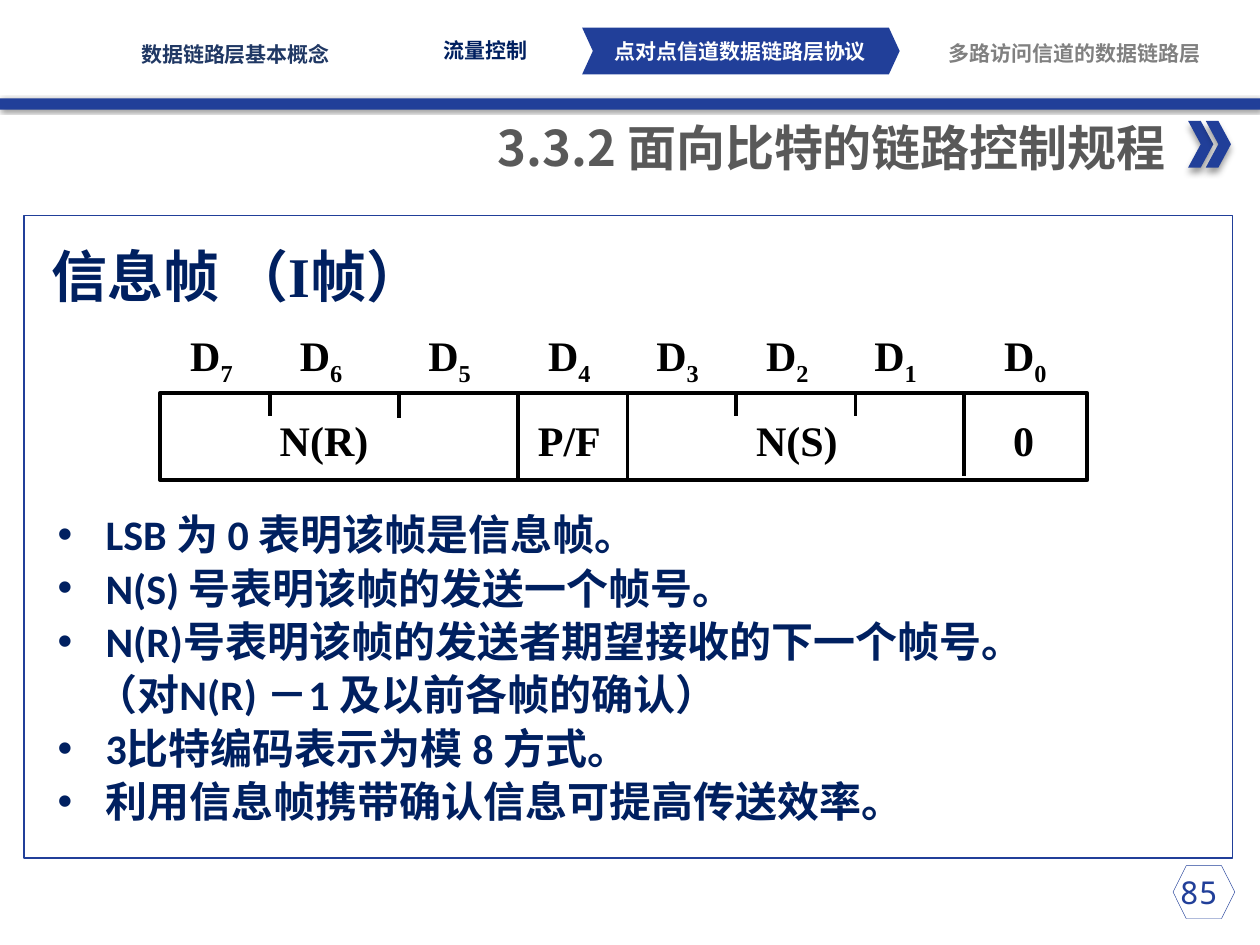
"""Build the slide on the HDLC information frame and its control field."""
from lxml import etree
from pptx import Presentation
from pptx.dml.color import RGBColor
from pptx.enum.shapes import MSO_CONNECTOR, MSO_SHAPE
from pptx.enum.text import MSO_ANCHOR, MSO_AUTO_SIZE, PP_ALIGN
from pptx.oxml.ns import qn
from pptx.util import Inches, Pt

BLUE = RGBColor(0x21, 0x3F, 0x99)
NAVY = RGBColor(0x00, 0x20, 0x60)
SLATE = RGBColor(0x20, 0x38, 0x64)
DARK_GRAY = RGBColor(0x59, 0x59, 0x59)
GRAY = RGBColor(0x80, 0x80, 0x80)
WHITE = RGBColor(0xFF, 0xFF, 0xFF)
BLACK = RGBColor(0x00, 0x00, 0x00)
CJK_FONT = "Noto Sans CJK SC"
SERIF = "Times New Roman"


def add_run(paragraph, text, size, font, color, bold=True):
    """Append one formatted run and return it."""
    run = paragraph.add_run()
    run.text = text
    run.font.size = Pt(size)
    run.font.bold = bold
    run.font.color.rgb = color
    run.font.name = font
    etree.SubElement(run.font._element, qn("a:ea"), typeface=CJK_FONT)
    return run


def add_box(left, top, width, height, anchor=MSO_ANCHOR.TOP, inset=True):
    """Add a wrapping text box and return its text frame."""
    box = slide.shapes.add_textbox(Inches(left), Inches(top), Inches(width), Inches(height))
    frame = box.text_frame
    frame.word_wrap = True
    frame.vertical_anchor = anchor
    if not inset:
        frame.margin_left = frame.margin_right = 0
        frame.margin_top = frame.margin_bottom = 0
    return frame


prs = Presentation()
prs.slide_width = Inches(10)
prs.slide_height = Inches(7.5)
slide = prs.slides.add_slide(prs.slide_layouts[5])
shapes = slide.shapes

for geometry, left, top, width, height, shadow in [
    (MSO_SHAPE.RECTANGLE, 0, 0.78, 10, 0.09, (2, 1, 45)),
    (MSO_SHAPE.CHEVRON, 9.43, 0.96, 0.2, 0.37, (4, 3, 90)),
    (MSO_SHAPE.CHEVRON, 9.57, 0.96, 0.2, 0.37, (4, 3, 90)),
    (MSO_SHAPE.CHEVRON, 4.62, 0.22, 2.52, 0.37, None),
]:
    accent = shapes.add_shape(geometry, Inches(left), Inches(top), Inches(width), Inches(height))
    accent.fill.solid()
    accent.fill.fore_color.rgb = BLUE
    accent.line.fill.background()
    accent.shadow.inherit = False
    if shadow:
        blur, distance, angle = shadow
        effects = accent._element.spPr.find(qn("a:effectLst"))
        outer = etree.SubElement(
            effects, qn("a:outerShdw"), blurRad=str(Pt(blur)), dist=str(Pt(distance)),
            dir=str(angle * 60000), algn="ctr", rotWithShape="0")
        shade = etree.SubElement(outer, qn("a:srgbClr"), val="000000")
        etree.SubElement(shade, qn("a:alpha"), val="40000")
    elif geometry == MSO_SHAPE.CHEVRON:
        accent.adjustments[0] = 0.23

for geometry, left, top, width, height, color, weight in [
    (MSO_SHAPE.HEXAGON, 9.31, 6.87, 0.49, 0.42, BLUE, 0.25),
    (MSO_SHAPE.RECTANGLE, 0.19, 1.71, 9.59, 5.1, BLUE, 0.75),
    (MSO_SHAPE.RECTANGLE, 1.27, 3.12, 7.36, 0.69, BLACK, 2.25),
]:
    outline = shapes.add_shape(geometry, Inches(left), Inches(top), Inches(width), Inches(height))
    outline.fill.background()
    outline.line.color.rgb = color
    outline.line.width = Pt(weight)
    outline.shadow.inherit = False

for section, left, top, width, color in [
    ("数据链路层基本概念", 0.92, 0.33, 1.9, SLATE),
    ("流量控制", 3.2, 0.3, 1.3, NAVY),
    ("点对点信道数据链路层协议", 4.75, 0.31, 2.25, WHITE),
    ("多路访问信道的数据链路层", 7.51, 0.32, 2.04, GRAY),
]:
    tab = add_box(left, top, width, 0.2, MSO_ANCHOR.MIDDLE, inset=False).paragraphs[0]
    tab.alignment = PP_ALIGN.CENTER
    add_run(tab, section, 12, "Arial Narrow", color)

title = shapes.title
title.left, title.top = Inches(3.74), Inches(0.88)
title.width, title.height = Inches(5.61), Inches(0.57)
title.text_frame.word_wrap = False
title.text_frame.auto_size = MSO_AUTO_SIZE.NONE
title.text_frame.vertical_anchor = MSO_ANCHOR.TOP
heading = title.text_frame.paragraphs[0]
heading.alignment = PP_ALIGN.RIGHT
add_run(heading, "3.3.2 ", 28, CJK_FONT, DARK_GRAY)
add_run(heading, "面向比特的链路控制规程", 28, SERIF, DARK_GRAY)

page_number = add_box(9.08, 6.88, 0.87, 0.4).paragraphs[0]
page_number.alignment = PP_ALIGN.CENTER
add_run(page_number, "85", 18, "Noto Sans Mono", BLUE, bold=False)

frame_name = add_box(0.31, 1.87, 9.29, 0.65).paragraphs[0]
for text, font in [("信息帧 （", "Calibri"), ("I", SERIF), ("帧）", "Calibri")]:
    add_run(frame_name, text, 32, font, NAVY)

for x, bottom in [(2.14, 3.3), (3.17, 3.32), (4.11, 3.81), (4.98, 3.81),
                  (5.84, 3.3), (6.79, 3.3), (7.65, 3.78)]:
    divider = shapes.add_connector(
        MSO_CONNECTOR.STRAIGHT, Inches(x), Inches(3.12), Inches(x), Inches(bottom))
    divider.line.color.rgb = BLACK
    divider.line.width = Pt(2.25)
    etree.SubElement(divider._element.spPr, qn("a:effectLst"))

for field, left, width in [("N(R)", 2.22, 0.8), ("P/F", 4.27, 0.57),
                           ("N(S)", 6, 0.72), ("0", 8.04, 0.33)]:
    field_label = add_box(left, 3.28, width, 0.41, MSO_ANCHOR.BOTTOM, inset=False)
    add_run(field_label.paragraphs[0], field, 24, SERIF, BLACK)

for bit, left in enumerate([7.97, 6.94, 6.08, 5.21, 4.35, 3.4, 2.38, 1.51]):
    bit_label = add_box(left, 2.65, 0.47, 0.42, MSO_ANCHOR.BOTTOM, inset=False).paragraphs[0]
    add_run(bit_label, "D", 24, SERIF, BLACK)
    subscript = add_run(bit_label, str(bit), 24, SERIF, BLACK)
    subscript.font._element.set("baseline", "-25000")

notes = add_box(0.36, 4.05, 9.16, 2.67)
for index, (text, bulleted) in enumerate([
    ("LSB 为 0 表明该帧是信息帧。", True),
    ("N(S) 号表明该帧的发送一个帧号。", True),
    ("N(R)号表明该帧的发送者期望接收的下一个帧号。", True),
    ("（对N(R) －1 及以前各帧的确认）", False),
    ("3比特编码表示为模 8 方式。", True),
    ("利用信息帧携带确认信息可提高传送效率。", True),
]):
    note = notes.add_paragraph() if index else notes.paragraphs[0]
    note.line_spacing = 0.85
    note.space_before = Pt(6)
    properties = note._p.get_or_add_pPr()
    properties.set("marL", str(Inches(0.38 if bulleted else 0.3)))
    if bulleted:
        properties.set("indent", str(Inches(-0.38)))
        etree.SubElement(properties, qn("a:buFont"), typeface="Arial")
        etree.SubElement(properties, qn("a:buChar"), char="•")
    add_run(note, text, 24, "Calibri", NAVY)

prs.save("out.pptx")
